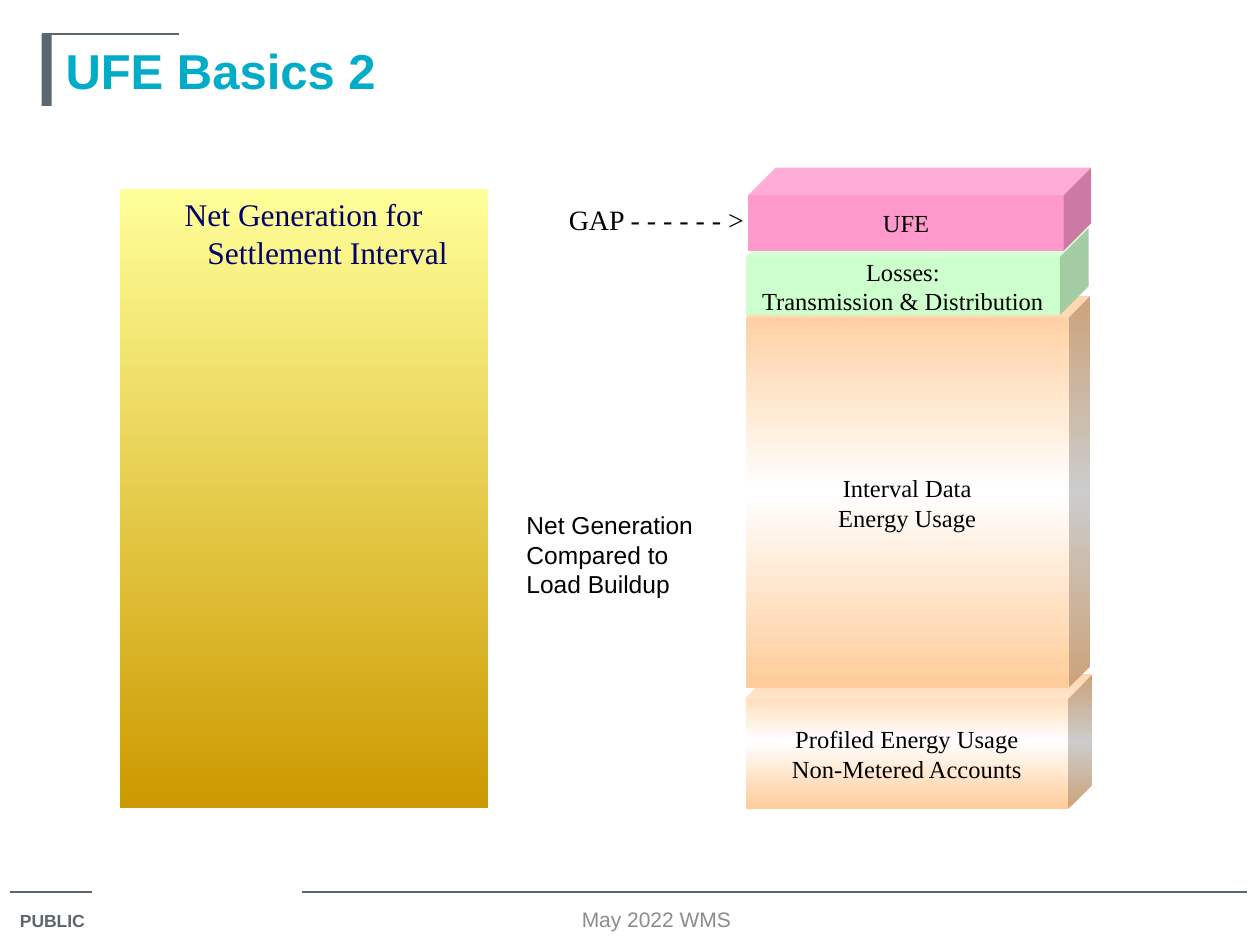
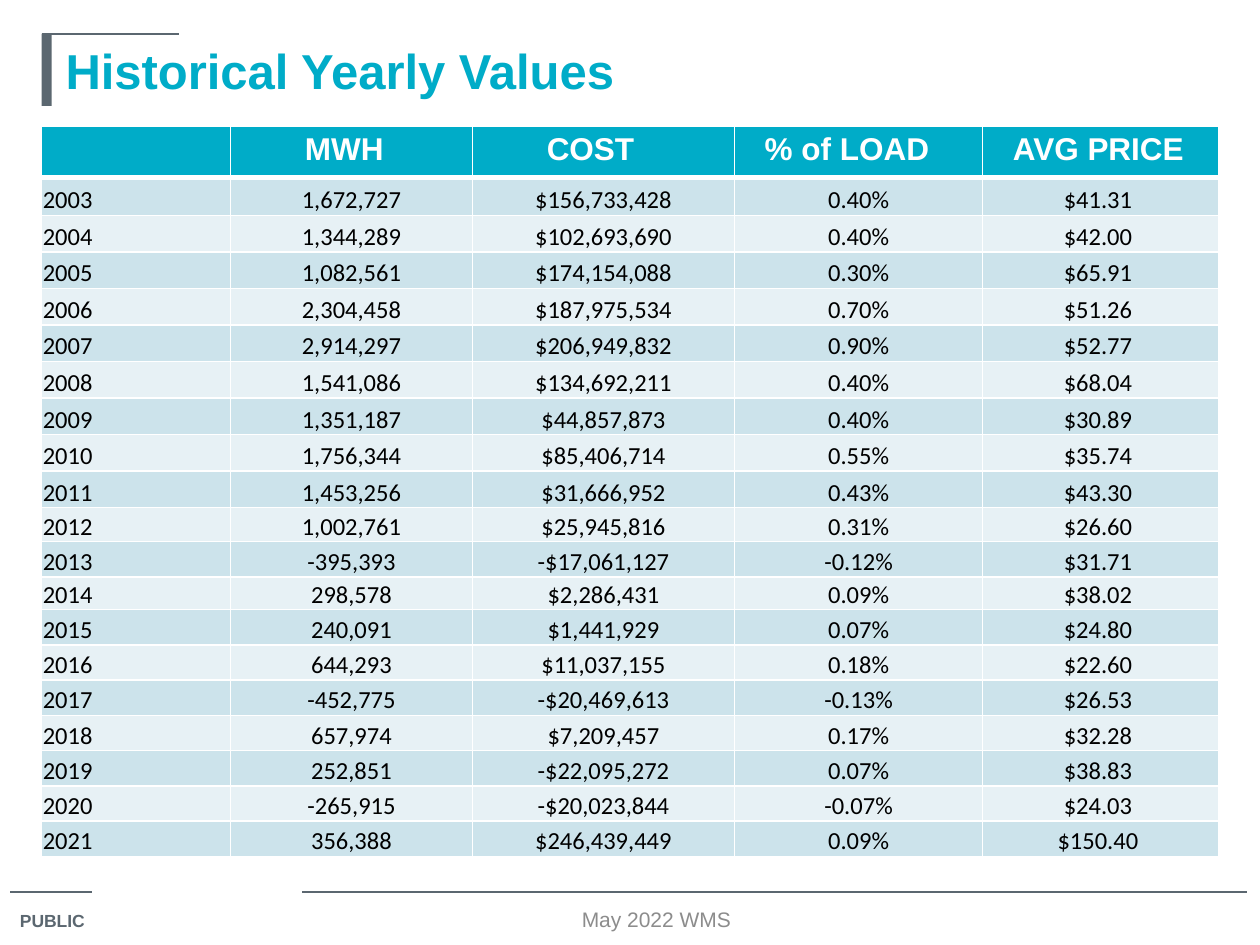
"""Builds two slides on unaccounted-for energy: the load buildup and the yearly values."""
from copy import deepcopy

from lxml import etree
from pptx import Presentation
from pptx import util as u
from pptx.dml.color import RGBColor
from pptx.enum import shapes, text
from pptx.oxml.ns import qn

TEAL, SLATE, GREY, BLACK, WHITE = "00ACC8", "5B6770", "8C8C8C", "000000", "FFFFFF"
PEACH = ["FFCC99", WHITE, "FFCC99"]
BANDS = ["CCE3EB", "E7F1F5"]
SERIF = "Times New Roman"
LEFT, CENTER = text.PP_ALIGN.LEFT, text.PP_ALIGN.CENTER
TOP, MIDDLE = text.MSO_ANCHOR.TOP, text.MSO_ANCHOR.MIDDLE


def paint(fill, colours):
    """Fill with one hex colour, or with a downward gradient through several."""
    if isinstance(colours, str):
        fill.solid()
        fill.fore_color.rgb = RGBColor.from_string(colours)
        return
    fill.gradient()
    fill.gradient_angle = 270
    stops = fill._xPr.find(".//" + qn("a:gsLst"))
    while len(stops) < len(colours):
        stops.append(deepcopy(stops[0]))
    for i, (stop, colour) in enumerate(zip(fill.gradient_stops, colours)):
        stop.position = i / (len(colours) - 1)
        stop.color.rgb = RGBColor.from_string(colour)


def write(tf, words, size, font, colour, bold=False, align=LEFT, anchor=TOP):
    """Write lines of text as evenly formatted paragraphs."""
    tf.text = words
    tf.word_wrap = True
    tf.vertical_anchor = anchor
    for p in tf.paragraphs:
        p.alignment = align
        p.font.size, p.font.name, p.font.bold = u.Pt(size), font, bold
        paint(p.font.fill, colour)


prs = Presentation()
prs.slide_width, prs.slide_height = u.Inches(10), u.Inches(7.5)

for title in ["UFE Basics 2", "Historical Yearly Values"]:
    s = prs.slides.add_slide(prs.slide_layouts[5])
    for x1, x2, y in [(0.08, 0.73, 7.08), (2.4, 9.9, 7.08), (0.33, 1.42, 0.27)]:
        line = s.shapes.add_connector(shapes.MSO_CONNECTOR.STRAIGHT, *map(u.Inches, (x1, y, x2, y)))
        paint(line.line.fill, SLATE)
        line.line.width = u.Pt(0.75)
        etree.SubElement(line._element.spPr, qn("a:effectLst"))
    bar = s.shapes.add_shape(shapes.MSO_SHAPE.RECTANGLE, *map(u.Inches, (0.33, 0.27, 0.08, 0.57)))
    bar.shadow.inherit = False
    paint(bar.fill, SLATE)
    bar.line.fill.background()

    sp = s.shapes.title
    sp.left, sp.top, sp.width, sp.height = map(u.Inches, (0.42, 0.27, 9.25, 0.57))
    write(sp.text_frame, title, 28, "Arial", TEAL, True, anchor=MIDDLE)
    sp.text_frame.auto_size = text.MSO_AUTO_SIZE.NONE

    label = s.shapes.add_textbox(*map(u.Inches, (0.06, 7.17, 0.77, 0.28)))
    write(label.text_frame, "PUBLIC", 10, "Arial", SLATE, True)
    footer = s.shapes.add_textbox(*map(u.Inches, (3, 7.17, 4.42, 0.25)))
    write(footer.text_frame, "May 2022 WMS", 12, "Arial", GREY, align=CENTER, anchor=MIDDLE)

basics, history = prs.slides

generation = basics.shapes.add_shape(
    shapes.MSO_SHAPE.RECTANGLE, *map(u.Inches, (0.95, 1.5, 2.92, 4.91)))
generation.shadow.inherit = False
paint(generation.fill, ["FFFF99", "CC9900"])
generation.line.fill.background()
tf = generation.text_frame
tf.margin_left = tf.margin_right = u.Inches(0.05)
write(tf, "Net Generation for Settlement Interval", 18, SERIF, "000066", align=CENTER)
pPr = tf.paragraphs[0]._p.get_or_add_pPr()
pPr.set("marL", str(u.Inches(0.38)))
pPr.set("indent", str(u.Inches(-0.38)))

load_blocks = [
    ("Profiled Energy Usage\nNon-Metered Accounts", 5.92, 5.35, 2.75, 1.07, 0.182, PEACH, 0.1),
    ("Interval Data\nEnergy Usage", 5.92, 2.35, 2.73, 3.11, 0.062, PEACH, 0.1),
    ("Losses:\nTransmission & Distribution", 5.92, 1.81, 2.72, 0.69, 0.331, "CCFFCC", 0.05),
    ("UFE", 5.94, 1.33, 2.72, 0.66, 0.331, "FF99CC", 0.05),
]
for words, x, y, w, h, depth, colours, margin in load_blocks:
    cube = basics.shapes.add_shape(shapes.MSO_SHAPE.CUBE, *map(u.Inches, (x, y, w, h)))
    cube.adjustments[0] = depth
    cube.shadow.inherit = False
    paint(cube.fill, colours)
    cube.line.fill.background()
    tf = cube.text_frame
    tf.margin_left = tf.margin_right = u.Inches(margin)
    write(tf, words, 14, SERIF, BLACK, align=CENTER, anchor=MIDDLE)

caption = basics.shapes.add_textbox(*map(u.Inches, (4.08, 4, 1.59, 0.8)))
write(caption.text_frame, "Net Generation\nCompared to\nLoad Buildup", 14, "Arial", BLACK)
caption.text_frame.word_wrap = False
gap = basics.shapes.add_textbox(*map(u.Inches, (4.25, 1.56, 1.92, 0.37)))
write(gap.text_frame, "GAP - - - - - - >", 16, SERIF, BLACK, align=CENTER)

yearly = [
    ("", "MWH", "COST", "% of LOAD", "AVG PRICE"),
    ("2003", "1,672,727", "$156,733,428", "0.40%", "$41.31"),
    ("2004", "1,344,289", "$102,693,690", "0.40%", "$42.00"),
    ("2005", "1,082,561", "$174,154,088", "0.30%", "$65.91"),
    ("2006", "2,304,458", "$187,975,534", "0.70%", "$51.26"),
    ("2007", "2,914,297", "$206,949,832", "0.90%", "$52.77"),
    ("2008", "1,541,086", "$134,692,211", "0.40%", "$68.04"),
    ("2009", "1,351,187", "$44,857,873", "0.40%", "$30.89"),
    ("2010", "1,756,344", "$85,406,714", "0.55%", "$35.74"),
    ("2011", "1,453,256", "$31,666,952", "0.43%", "$43.30"),
    ("2012", "1,002,761", "$25,945,816", "0.31%", "$26.60"),
    ("2013", "-395,393", "-$17,061,127", "-0.12%", "$31.71"),
    ("2014", "298,578", "$2,286,431", "0.09%", "$38.02"),
    ("2015", "240,091", "$1,441,929", "0.07%", "$24.80"),
    ("2016", "644,293", "$11,037,155", "0.18%", "$22.60"),
    ("2017", "-452,775", "-$20,469,613", "-0.13%", "$26.53"),
    ("2018", "657,974", "$7,209,457", "0.17%", "$32.28"),
    ("2019", "252,851", "-$22,095,272", "0.07%", "$38.83"),
    ("2020", "-265,915", "-$20,023,844", "-0.07%", "$24.03"),
    ("2021", "356,388", "$246,439,449", "0.09%", "$150.40"),
]
header_margins = [0.1, 0.59, 0.59, 0.24, 0.24]
widths = [1.5, 1.92, 2.08, 1.97, 1.87]
heights = [0.41, 0.3] + [0.29] * 8 + [0.27, 0.28, 0.26] + [0.28] * 7

table = history.shapes.add_table(
    len(yearly), len(widths), *map(u.Inches, (0.33, 1, 9.33, 5.78))).table
for column, width in zip(table.columns, widths):
    column.width = u.Inches(width)
for i, (row, height, values) in enumerate(zip(table.rows, heights, yearly)):
    row.height = u.Inches(height)
    for j, (cell, value) in enumerate(zip(row.cells, values)):
        for side in "LRTB":
            thick = (i, side) in [(0, "B"), (1, "T")]
            ln = etree.SubElement(cell._tc.get_or_add_tcPr(), qn("a:ln" + side),
                                  w=str(u.Pt(3 if thick else 1)))
            solid = etree.SubElement(ln, qn("a:solidFill"))
            etree.SubElement(solid, qn("a:srgbClr"), val=WHITE)
        paint(cell.fill, BANDS[(i - 1) % 2] if i else TEAL)
        if i == 0:
            write(cell.text_frame, value, 18, "Arial", WHITE, True)
            cell.margin_left = u.Inches(header_margins[j])
        else:
            write(cell.text_frame, value, 14, "Calibri", BLACK, align=CENTER if j else LEFT)
            cell.margin_left = cell.margin_top = u.Inches(0.01)
            cell.margin_right = u.Inches(0.05 if j == 4 else 0.01)
            cell.margin_bottom = 0
            cell.vertical_anchor = text.MSO_ANCHOR.BOTTOM

prs.save("out.pptx")
